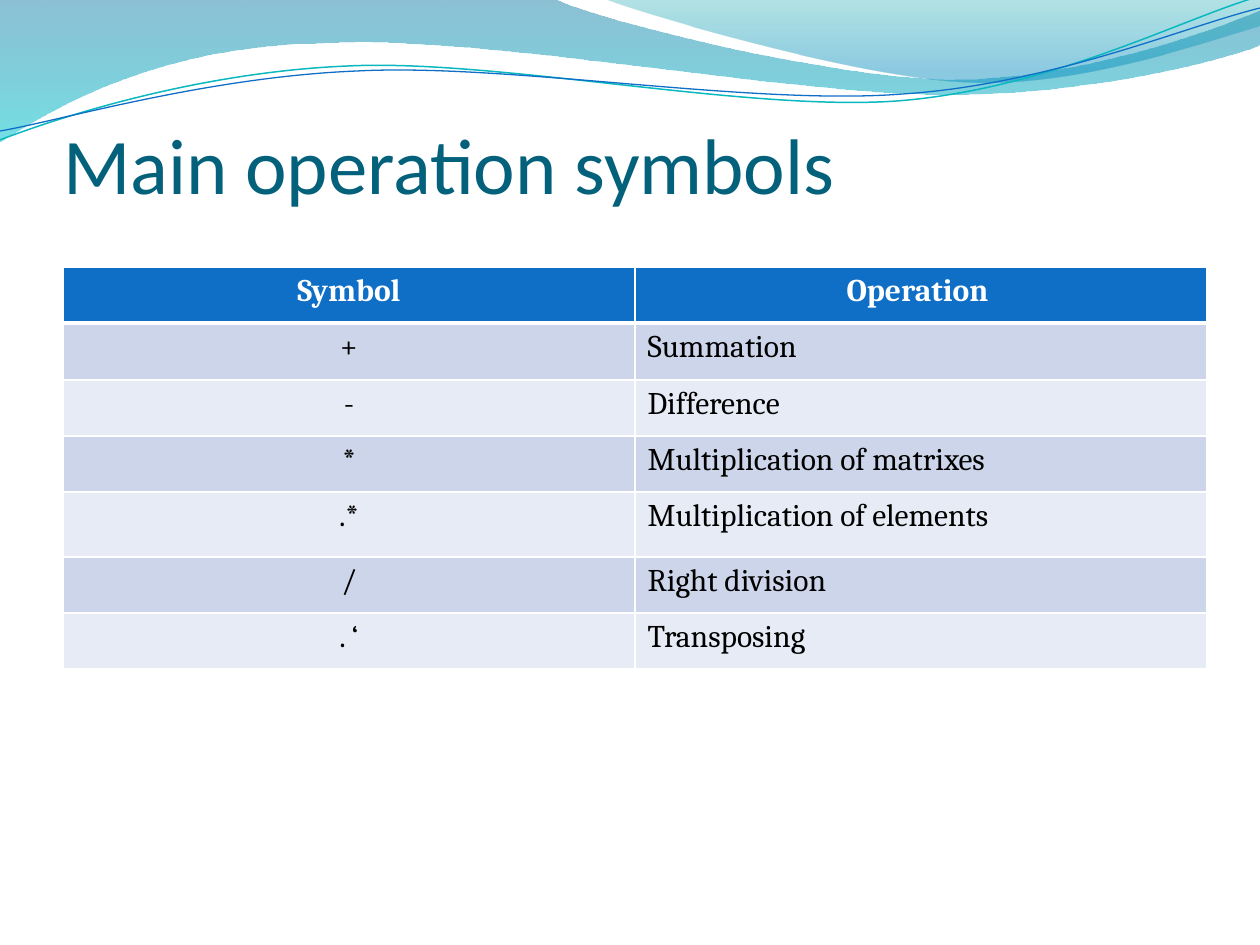
from math import cos, radians, sin

from lxml import etree
from pptx import Presentation
from pptx.dml.color import RGBColor
from pptx.enum.text import MSO_ANCHOR, PP_ALIGN
from pptx.oxml.ns import qn
from pptx.util import Pt

BOTTOM = MSO_ANCHOR.BOTTOM
LEFT, CENTER = PP_ALIGN.LEFT, PP_ALIGN.CENTER
SCALE = 914400 / 126
TILT = 2.7

BAND = [(0, 0), (554, -1),
        ((600, 21), (837, 79), (955, 79)),
        ((1075, 79), (1207, 33), (1260, 11)),
        (1261, 45),
        ((1239, 55), (1096, 96), (940, 94)),
        ((784, 94), (481, 35), (324, 43)),
        ((163, 45), (58, 105), (-1, 142)),
        (0, 0)]
CREST = [(604, -1),
         ((641, 14), (859, 78), (969, 82)),
         ((1079, 87), (1211, 40), (1260, 26)),
         (1260, 0), (604, -1)]
TEAL = [(0, 140),
        ((60, 117), (199, 72), (349, 66)),
        ((498, 59), (747, 112), (898, 101)),
        ((1050, 89), (1182, 19), (1257, -3))]
BLUE = [(0, 131),
        ((59, 121), (207, 77), (357, 71)),
        ((508, 63), (752, 106), (903, 94)),
        ((1053, 84), (1186, 26), (1260, 8))]
ROWS = [("Symbol", "Operation "),
        ("+", "Summation"),
        ("-", "Difference"),
        ("*", "Multiplication of matrixes"),
        (".*", "Multiplication of elements"),
        ("/", "Right division"),
        (". ‘", "Transposing")]
HEIGHTS = [56, 57, 56, 56, 65, 56, 56]


def px(num):
    return round(num * SCALE)


def color(code):
    return RGBColor.from_string(code)


def is_curve(part):
    return len(part) == 3


def turn(dot, mid):
    x, y = dot[0] - mid[0], dot[1] - mid[1]
    c, s = cos(radians(TILT)), sin(radians(TILT))
    return mid[0] + x * c - y * s, mid[1] + x * s + y * c


def add_path(slide, path, close, mid=None):
    dots = []
    for part in path:
        dots.extend(part if is_curve(part) else [part])
    if mid:
        dots = [turn(dot, mid) for dot in dots]
    dots = [(px(x), px(y)) for x, y in dots]
    pen = slide.shapes.build_freeform(*dots[0])
    pen.add_line_segments(dots[1:], close=close)
    shape = pen.convert_to_shape()
    shape.shadow.inherit = False
    lines = iter(list(shape.element.iter(qn("a:lnTo"))))
    for part in path[1:]:
        line = next(lines)
        if is_curve(part):
            line.addprevious(curve := etree.Element(qn("a:cubicBezTo")))
            for item in (line, next(lines), next(lines)):
                curve.append(item[0])
                item.getparent().remove(item)
    return shape


def add_wave(slide, path, stops):
    shape = add_path(slide, path, True)
    shape.line.fill.background()
    shape.fill.gradient()
    shape.fill.gradient_angle = 270
    for stop, (place, code, _) in zip(shape.fill.gradient_stops, stops):
        stop.position = place
        stop.color.rgb = color(code)
    tints = shape.element.spPr.iter(qn("a:srgbClr"))
    for tint, (_, _, alpha) in zip(list(tints), stops):
        etree.SubElement(tint, qn("a:alpha"), val=str(alpha * 1000))


def add_curve(slide, path, mid, code, width):
    shape = add_path(slide, path, False, mid)
    shape.rotation = 360 - TILT
    shape.fill.background()
    shape.line.color.rgb = color(code)
    shape.line.width = Pt(width)


def add_run(para, text, font, size, code, bold=False):
    run = para.add_run()
    run.text = text
    run.font.name = font
    run.font.size = Pt(size)
    run.font.bold = bold
    run.font.color.rgb = color(code)


def add_title(slide, text):
    title = slide.shapes.title
    title.left, title.top = px(63), px(105)
    title.width, title.height = px(1134), px(105)
    frame = title.text_frame
    frame.word_wrap = True
    frame.vertical_anchor = BOTTOM
    frame.margin_left = frame.margin_right = frame.margin_bottom = 0
    para = frame.paragraphs[0]
    para.alignment = LEFT
    add_run(para, text, "Calibri", 45, "04617B")
    slide.shapes.element.append(title.element)


def add_edge(cell, side, width):
    edge = etree.SubElement(cell._tc.get_or_add_tcPr(), qn("a:ln" + side),
                            w=str(Pt(width)))
    fill = etree.SubElement(edge, qn("a:solidFill"))
    etree.SubElement(fill, qn("a:srgbClr"), val="FFFFFF")


def fill_cell(cell, text, row, col):
    head = row == 0
    if head:
        for side in "LRTB":
            add_edge(cell, side, 3 if side == "B" else 1)
    cell.fill.solid()
    back = "0F6FC6" if head else ("E7EBF5", "CCD5EA")[row % 2]
    cell.fill.fore_color.rgb = color(back)
    para = cell.text_frame.paragraphs[0]
    para.alignment = CENTER if head or col == 0 else LEFT
    add_run(para, text, "Cambria", 18, "FFFFFF" if head else "000000", head)


def add_grid(slide):
    frame = slide.shapes.add_table(len(ROWS), 2, px(63), px(267),
                                   px(1144), px(sum(HEIGHTS)))
    table = frame.table
    for col in table.columns:
        col.width = px(572)
    for row, (texts, height) in enumerate(zip(ROWS, HEIGHTS)):
        table.rows[row].height = px(height)
        for col, text in enumerate(texts):
            fill_cell(table.cell(row, col), text, row, col)


def main():
    deck = Presentation()
    deck.slide_width, deck.slide_height = px(1260), px(945)
    slide = deck.slides.add_slide(deck.slide_layouts[5])
    add_wave(slide, BAND, [(0, "0074A1", 45), (1, "00C6CF", 55)])
    add_wave(slide, CREST, [(0, "00A1A9", 30), (0.8, "008BBF", 45)])
    add_curve(slide, TEAL, (629, 72), "0AB8BF", 0.85)
    add_curve(slide, BLUE, (629, 74), "0F6FC6", 0.75)
    add_title(slide, "Main operation symbols")
    add_grid(slide)
    deck.save("out.pptx")


if __name__ == "__main__":
    main()
